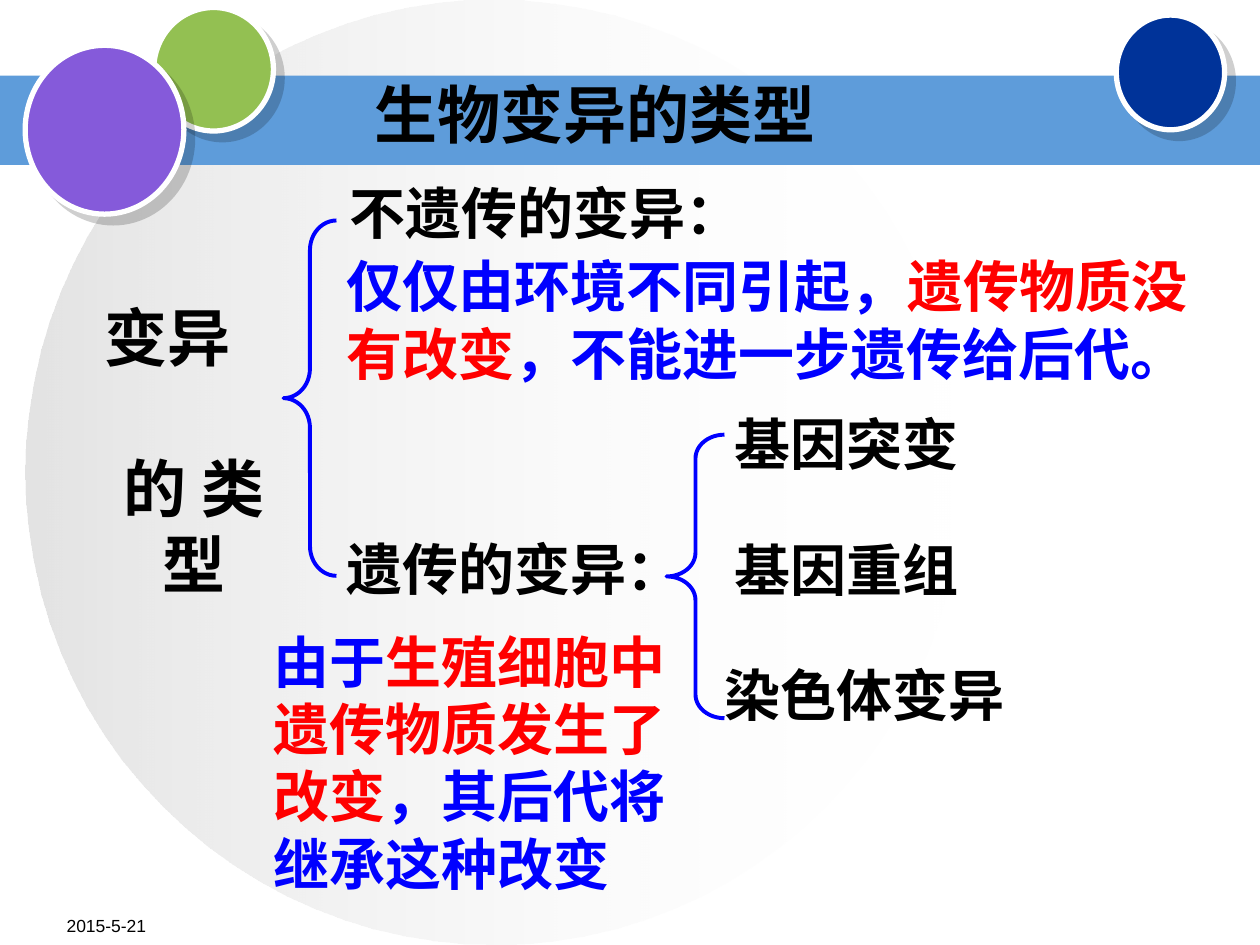
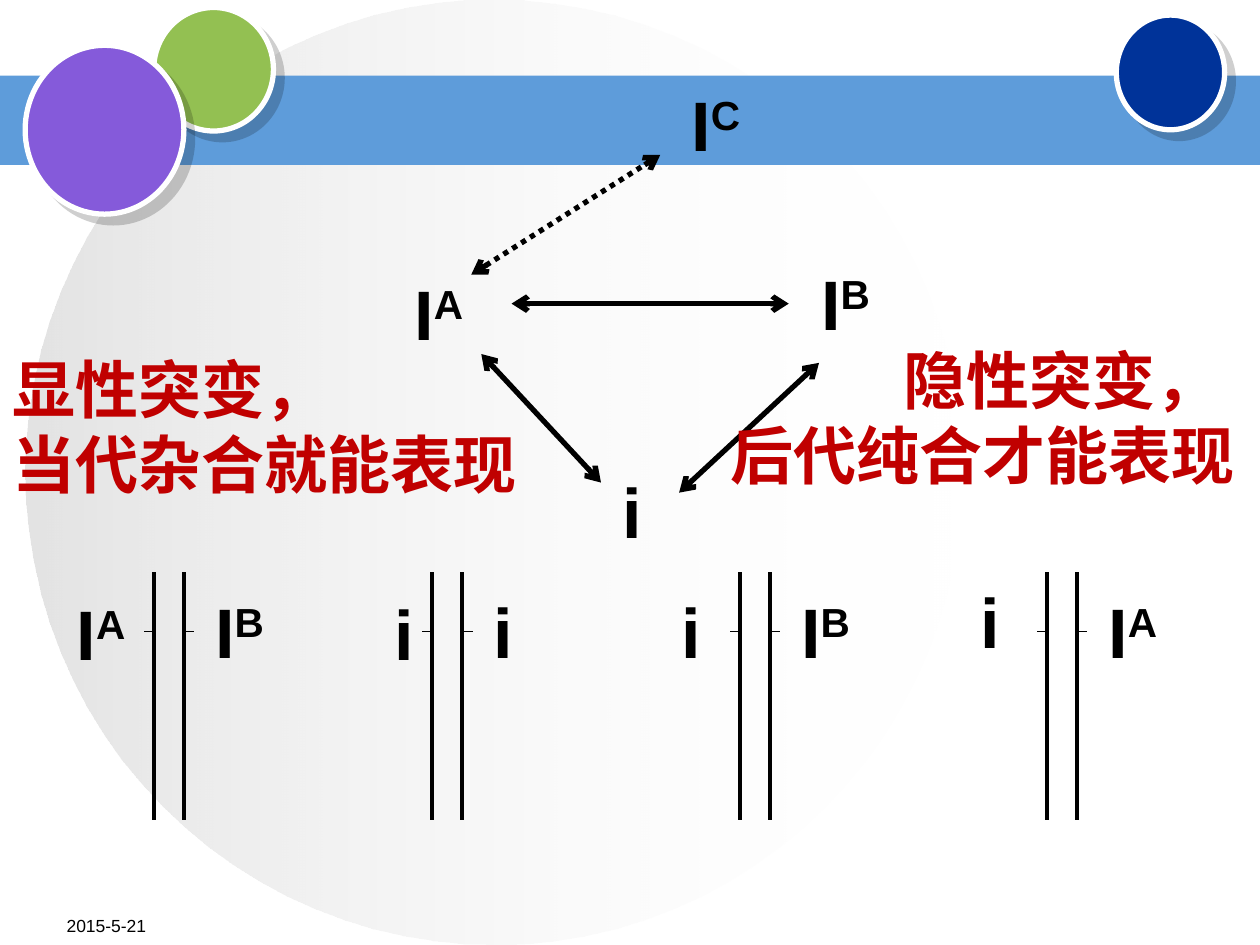
from lxml import etree
from pptx import Presentation
from pptx.dml.color import RGBColor
from pptx.enum.dml import MSO_LINE
from pptx.enum.shapes import MSO_CONNECTOR, MSO_SHAPE
from pptx.enum.text import MSO_ANCHOR, MSO_AUTO_SIZE, PP_ALIGN
from pptx.oxml.ns import qn
from pptx.util import Pt

OVAL, RECT, BRACE = MSO_SHAPE.OVAL, MSO_SHAPE.RECTANGLE, MSO_SHAPE.LEFT_BRACE
STRAIGHT, DOTS = MSO_CONNECTOR.STRAIGHT, MSO_LINE.ROUND_DOT
LEFT, CENTER = PP_ALIGN.LEFT, PP_ALIGN.CENTER
GROW, TOP = MSO_AUTO_SIZE.SHAPE_TO_FIT_TEXT, MSO_ANCHOR.TOP

PX = 9144  # 100 px to the inch
LATIN, HAN = "Arial", "Noto Sans CJK SC"
COLORS = {
    "black": "000000", "white": "FFFFFF", "grey": "C0C0C0", "band": "5E9CDA",
    "green": "93C052", "navy": "003399", "purple": "855ADA",
    "blue": "0000FF", "red": "FF0000", "dark": "C00000",
}

# Shared frame
DISC = (20, 0, 744, 750)
BAND = (0, 60, 1000, 71)
BALLS = [
    ((122, 6, 95, 98), "green"),
    ((886, 12, 86, 91), "navy"),
    ((20, 36, 126, 134), "purple"),
]
DATE, DATE_BOX = "2015-5-21", (43, 721, 208, 29)

# Slide 1
TITLE, TITLE_BOX = "生物变异的类型", (201, 60, 543, 60)
ROOT, ROOT_BOX = ["变异", "的 类型"], (83, 237, 142, 180)
TERMS = [
    ("遗传的变异：", (275, 424, 278, 53)),
    ("不遗传的变异：", (277, 142, 331, 53)),
    ("基因突变", (583, 325, 214, 54)),
    ("基因重组", (583, 425, 284, 53)),
    ("染色体变异", (575, 524, 308, 53)),
]
CAUSES = [
    ([("仅仅由环境不同引起，", "blue"), ("遗传物质没有改变", "red"),
      ("，不能进一步遗传给后代。", "blue")], (275, 200, 692, 107)),
    ([("由于", "blue"), ("生殖细胞中遗传物质发生了改变", "red"),
      ("，其后代将继承这种改变", "blue")], (217, 498, 350, 213)),
]
BRACES = [
    ((225, 175, 42, 282), (0.56, 0.5)),
    ((529, 345, 46, 225), (0.41, 0.5)),
]

# Slide 2: a gene is its letter and its raised mark
GENES = [
    ("IC", 539, 60, 110), ("IA", 319, 210, 71),
    ("IB", 642, 202, 110), ("i", 484, 367, 63),
]
ARROWS = [
    ((406, 241), (626, 241), None),
    ((382, 281), (477, 383), None),
    ((650, 288), (539, 391), None),
    ((374, 218), (524, 123), DOTS),
]
# x of the pair, then left gene with its place, then right gene
PAIRS = [
    (122, "IA", 51, 464, "IB"),
    (343, "i", 303, 464, "i"),
    (587, "i", 531, 462, "IB"),
    (831, "i", 768, 454, "IA"),
]
PAIR_TOP, PAIR_END, TICK_Y = 454, 651, 501
PAIR_GAP, TICK, GENE_GAP, GENE_TOP = 24, 8, 39, 462
NOTES = [
    (["显性突变，", "当代杂合就能表现"], (0, 273, 430, 131), 0),
    (["隐性突变，", "后代纯合才能表现"], (570, 266, 430, 131), 137),
]


def emu(box):
    return [n * PX for n in box]


def rgb(name):
    return RGBColor.from_string(COLORS[name])


def sub(node, tag, **attrs):
    return etree.SubElement(node, qn(tag), attrs)


def fill_text(shape, paras, *, size=32, font=HAN, color="black", bold=True,
              aligns=(), inset=True, gap=0, indent=0):
    """Each paragraph is a string or a list of (text, colour[, baseline])."""
    frame = shape.text_frame
    frame.word_wrap, frame.auto_size = True, GROW
    frame.vertical_anchor = TOP
    if not inset:
        frame.margin_left = frame.margin_right = 0
        frame.margin_top = frame.margin_bottom = 0
    for i, runs in enumerate(paras):
        para = frame.add_paragraph() if i else frame.paragraphs[0]
        para.alignment = aligns[i] if aligns else LEFT
        para.space_before = Pt(gap if i else 0)
        if indent and not i:
            para._p.get_or_add_pPr().set("marL", str(indent * PX))
        for text, tint, *base in [(runs, color)] if isinstance(runs, str) else runs:
            run = para.add_run()
            run.text = text
            run.font.size, run.font.bold = Pt(size), bold
            run.font.name = font
            run.font.color.rgb = rgb(tint)
            props = run._r.get_or_add_rPr()
            sub(props, "a:ea", typeface=HAN)
            if base:
                props.set("baseline", str(base[0] * 1000))


def add_text(slide, box, paras, **style):
    fill_text(slide.shapes.add_textbox(*emu(box)), paras, **style)


def add_form(slide, kind, box, fill=None, line=None, width=3):
    form = slide.shapes.add_shape(kind, *emu(box))
    form.shadow.inherit = False
    if fill:
        form.fill.solid()
        form.fill.fore_color.rgb = rgb(fill)
    else:
        form.fill.background()
    if line:
        form.line.color.rgb = rgb(line)
        form.line.width = Pt(width)
    else:
        form.line.fill.background()
    return form


def add_line(slide, start, end, width, dash=None, heads=False):
    line = slide.shapes.add_connector(STRAIGHT, *emu(start + end))
    line.line.color.rgb = rgb("black")
    line.line.width = Pt(width)
    if dash:
        line.line.dash_style = dash
    if heads:
        stroke = line.line._get_or_add_ln()
        for tag in ("a:headEnd", "a:tailEnd"):
            sub(stroke, tag, type="arrow")
    sub(line.element.spPr, "a:effectLst")


def add_gene(slide, gene, x, y, wide):
    runs = [(gene[0], "black")] + [(mark, "black", 30) for mark in gene[1:]]
    add_text(slide, (x, y, wide, 77), [runs], size=40, font=LATIN)


def build_frame(deck, slide):
    """Draw the shared parts, then move them to the back of the master."""
    disc = add_form(slide, OVAL, DISC)
    disc.fill.gradient()
    disc.fill.gradient_angle = 0
    for stop, name, pos in zip(disc.fill.gradient_stops, ("grey", "white"), (0, 1)):
        stop.color.rgb, stop.position = rgb(name), pos
    for tint, alpha in zip(disc.element.iter(qn("a:srgbClr")), ("44000", "0")):
        sub(tint, "a:alpha", val=alpha)
    forms = [disc, add_form(slide, RECT, BAND, "band")]
    for box, name in BALLS:
        ball = add_form(slide, OVAL, box, name, "white")
        effects = ball.element.spPr.find(qn("a:effectLst"))
        cast = sub(effects, "a:outerShdw", blurRad="0", dist=str(Pt(7.1)),
                   dir="2700000", algn="ctr", rotWithShape="0")
        sub(sub(cast, "a:srgbClr", val=COLORS["black"]), "a:alpha", val="19000")
        forms.append(ball)
    tree = deck.slide_master.shapes.element
    for i, form in enumerate(forms):
        next(form.element.iter(qn("p:cNvPr"))).set("id", str(100 + i))
        tree.insert(2 + i, form.element)


def add_date(slide):
    add_text(slide, DATE_BOX, [DATE], size=10, font=LATIN, bold=False)


def build_types(slide):
    add_date(slide)
    add_text(slide, ROOT_BOX, ROOT, size=36, aligns=(LEFT, CENTER),
             gap=43, inset=False)
    for text, box in TERMS:
        add_text(slide, box, [text], inset=False)
    for runs, box in CAUSES:
        add_text(slide, box, [runs], inset=False)
    for box, bends in BRACES:
        brace = add_form(slide, BRACE, box, line="blue", width=2.25)
        for i, bend in enumerate(bends):
            brace.adjustments[i] = bend
    title = slide.shapes.title
    title.left, title.top, title.width, title.height = emu(TITLE_BOX)
    fill_text(title, [TITLE], size=36, aligns=(CENTER,), inset=False)


def build_genes(slide):
    add_date(slide)
    for gene in GENES:
        add_gene(slide, *gene)
    for start, end, dash in ARROWS:
        add_line(slide, start, end, 3, dash, heads=True)
    for x, first, left, top, second in PAIRS:
        for side, tick in ((x, -TICK), (x + PAIR_GAP, TICK)):
            add_line(slide, (side, PAIR_TOP), (side, PAIR_END), 2.25)
            add_line(slide, (side, TICK_Y), (side + tick, TICK_Y), 0.75)
        add_gene(slide, first, left, top, 71)
        add_gene(slide, second, x + GENE_GAP, GENE_TOP, 110)
    for lines, box, indent in NOTES:
        add_text(slide, box, lines, size=36, font=LATIN, color="dark", indent=indent)


def main():
    deck = Presentation()
    deck.slide_width, deck.slide_height = emu((1000, 750))
    types = deck.slides.add_slide(deck.slide_layouts[5])
    build_frame(deck, types)
    build_types(types)
    build_genes(deck.slides.add_slide(deck.slide_layouts[6]))
    deck.save("out.pptx")


if __name__ == "__main__":
    main()
